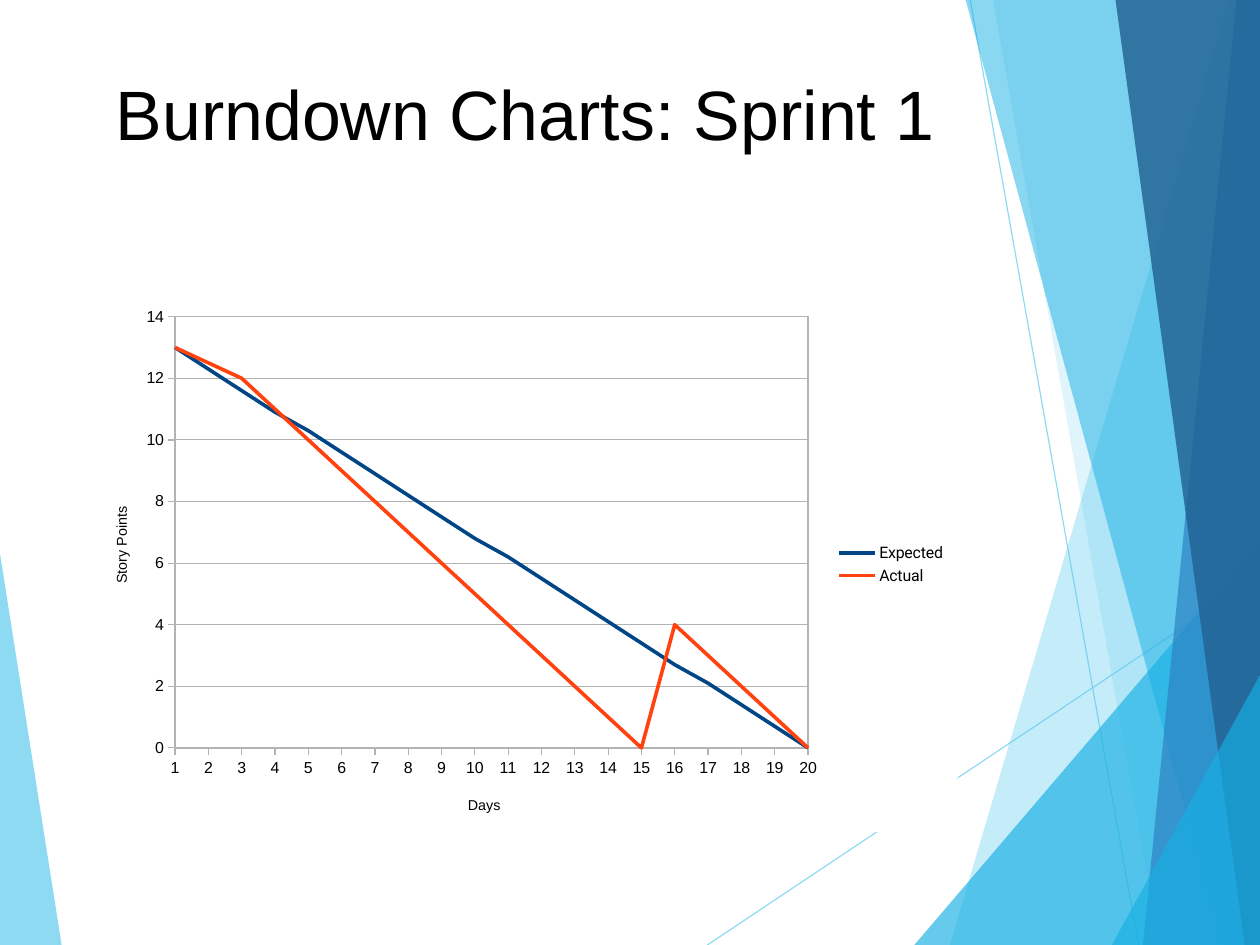
import pptx
import pptx.chart.data
import pptx.dml.color
import pptx.enum.chart
import pptx.enum.shapes
import pptx.enum.text
import pptx.oxml
import pptx.oxml.ns
import pptx.util
from pptx.util import Cm

WIDTH, HEIGHT = 28, 21
COLOURS = {
    "white": "FFFFFF", "black": "000000", "grid": "B3B3B3",
    "sky": "5FCBEF", "cyan": "17B0E4", "blue": "2E83C3", "navy": "226292",
    "expected": "004586", "actual": "FF420E",
}
NAMESPACES = pptx.oxml.ns.nsdecls("a", "c")
qn = pptx.oxml.ns.qn


def rgb(name):
    return pptx.dml.color.RGBColor.from_string(COLOURS[name])


def format_font(font, size=10, name="Arial", colour="black", bold=False):
    font.size, font.name, font.bold = pptx.util.Pt(size), name, bold
    font.color.rgb = rgb(colour)


def write_text(frame, text, align=None, **font_format):
    paragraph = frame.paragraphs[0]
    run = paragraph.add_run()
    run.text = text
    paragraph.alignment = align
    format_font(run.font, **font_format)


def format_line(line, colour, width=0.75):
    line.color.rgb = rgb(colour)
    line.width = pptx.util.Pt(width)


def set_opacity(properties, percent):
    colour = properties.find(".//" + qn("a:srgbClr"))
    colour.append(pptx.oxml.parse_xml(
        f'<a:alpha {NAMESPACES} val="{percent * 1000}"/>'))


def set_layout(parent, index, **fractions):
    """Place a chart part by fractions of the chart's size."""
    previous = parent.find(qn("c:layout"))
    if previous is not None:
        parent.remove(previous)
    target = '<c:layoutTarget val="inner"/>' if "w" in fractions else ""
    modes = "".join(f'<c:{key}Mode val="edge"/>' for key in "xy")
    values = "".join(f'<c:{key} val="{value}"/>' for key, value in fractions.items())
    parent.insert(index, pptx.oxml.parse_xml(
        f"<c:layout {NAMESPACES}><c:manualLayout>{target}{modes}{values}"
        "</c:manualLayout></c:layout>"))


def shape_properties(fill, line):
    def paint(colour):
        return (f'<a:solidFill><a:srgbClr val="{COLOURS[colour]}"/></a:solidFill>'
                if colour else "<a:noFill/>")
    return pptx.oxml.parse_xml(
        f'<c:spPr {NAMESPACES}>{paint(fill)}<a:ln w="9525">{paint(line)}</a:ln></c:spPr>')


class SlideBuilder:
    def __init__(self, presentation):
        self.slide = presentation.slides.add_slide(presentation.slide_layouts[5])
        self.slide.background.fill.solid()
        self.slide.background.fill.fore_color.rgb = rgb("white")

    def title(self, text, left, top, width, height):
        shape = self.slide.shapes.title
        shape.left, shape.top = Cm(left), Cm(top)
        shape.width, shape.height = Cm(width), Cm(height)
        frame = shape.text_frame
        frame.word_wrap = True
        frame.auto_size = pptx.enum.text.MSO_AUTO_SIZE.NONE
        frame.vertical_anchor = pptx.enum.text.MSO_ANCHOR.MIDDLE
        frame.margin_left = frame.margin_right = 0
        frame.margin_top = frame.margin_bottom = 0
        write_text(frame, text, pptx.enum.text.PP_ALIGN.CENTER, size=44)

    def facet(self, colour, opacity, *points):
        corners = [(Cm(x), Cm(y)) for x, y in points]
        builder = self.slide.shapes.build_freeform(*corners[0])
        builder.add_line_segments(corners[1:], close=True)
        shape = builder.convert_to_shape()
        shape.shadow.inherit = False
        shape.fill.solid()
        shape.fill.fore_color.rgb = rgb(colour)
        set_opacity(shape.element.spPr, opacity)
        shape.line.fill.background()

    def line(self, colour, opacity, start, end):
        connector = self.slide.shapes.add_connector(
            pptx.enum.shapes.MSO_CONNECTOR.STRAIGHT,
            *(Cm(value) for value in (*start, *end)))
        format_line(connector.line, colour)
        properties = connector.element.spPr
        set_opacity(properties, opacity)
        properties.append(pptx.oxml.parse_xml(f"<a:effectLst {NAMESPACES}/>"))

    def axis(self, axis, title, x, y):
        axis.major_tick_mark = pptx.enum.chart.XL_TICK_MARK.OUTSIDE
        axis.minor_tick_mark = pptx.enum.chart.XL_TICK_MARK.NONE
        format_font(axis.tick_labels.font)
        format_line(axis.format.line, "grid")
        write_text(axis.axis_title.text_frame, title, size=9)
        set_layout(axis.axis_title.element, 1, x=x, y=y)

    def burndown_chart(self, days, series, left, top, width, height):
        data = pptx.chart.data.CategoryChartData()
        data.categories = days
        for name, values in series.items():
            data.add_series(name, values)
        chart = self.slide.shapes.add_chart(
            pptx.enum.chart.XL_CHART_TYPE.LINE,
            Cm(left), Cm(top), Cm(width), Cm(height), data).chart
        format_font(chart.font, name="Roboto")
        chart.has_title = False
        chart.has_legend = True
        chart.legend.position = pptx.enum.chart.XL_LEGEND_POSITION.RIGHT
        chart.legend.include_in_layout = False
        format_font(chart.legend.font, name="Roboto")
        chart.plots[0].vary_by_categories = False
        for item in chart.plots[0].series:
            item.smooth = False
            format_line(item.format.line, item.name.lower(), 2.27)

        # Axes
        value_axis = chart.value_axis
        self.axis(chart.category_axis, "Days", 0.437, 0.927)
        self.axis(value_axis, "Story Points", 0.03, 0.387)
        value_axis.minimum_scale, value_axis.maximum_scale = 0, 14
        value_axis.major_unit = 2
        value_axis.has_major_gridlines = True
        format_line(value_axis.major_gridlines.format.line, "grid")
        title = value_axis.axis_title.element
        title.find(".//" + qn("a:bodyPr")).set("rot", "-5400000")

        # Lines start on the value axis
        axis_element = title.getparent()
        crossing = axis_element.find(qn("c:crossBetween"))
        if crossing is None:
            crossing = pptx.oxml.parse_xml(f"<c:crossBetween {NAMESPACES}/>")
            axis_element.find(qn("c:crosses")).addnext(crossing)
        crossing.set("val", "midCat")

        # Plot frame and chart background
        plot_area = axis_element.getparent()
        set_layout(plot_area, 0, x=0.105, y=0.037, w=0.724, h=0.806)
        plot_area.append(shape_properties(None, "grid"))
        plot_area.getparent().addnext(shape_properties("white", None))


def main():
    presentation = pptx.Presentation()
    presentation.slide_width, presentation.slide_height = Cm(WIDTH), Cm(HEIGHT)
    builder = SlideBuilder(presentation)
    top_right, bottom_right = (WIDTH, 0), (WIDTH, HEIGHT)

    # Background facets
    builder.facet("sky", 70, (0, 12.3), (1.37, HEIGHT), (0, HEIGHT))
    builder.line("sky", 70, (15.72, HEIGHT), (WIDTH, 12.8))
    builder.line("sky", 70, (21.56, 0), (25.3, HEIGHT))
    for colour, opacity, top_x, bottom_x in (
            ("sky", 36, 27.31, 21.11), ("sky", 20, 22.07, 25.76)):
        builder.facet(colour, opacity, (top_x, 0), (bottom_x, HEIGHT), bottom_right, top_right)
    builder.facet("cyan", 66, (20.32, HEIGHT), (WIDTH, 12.01), bottom_right)
    for colour, opacity, top_x, bottom_x in (
            ("cyan", 50, 21.46, 27.15), ("blue", 70, 27.48, 25.4),
            ("navy", 82, 24.79, 27.66)):
        builder.facet(colour, opacity, (top_x, 0), (bottom_x, HEIGHT), bottom_right, top_right)
    builder.facet("cyan", 66, (24.71, HEIGHT), (WIDTH, 15), bottom_right)

    # Title and chart
    builder.title("Burndown Charts: Sprint 1", 1.4, 0.81, 20.57, 3.4)
    builder.burndown_chart(
        [str(day) for day in range(1, 21)],
        {
            "Expected": [round(13 * (20 - day) / 19, 1) for day in range(1, 21)],
            "Actual": [13, 12.5, *range(12, -1, -1), *range(4, -1, -1)],
        },
        1.85, 6.6, 19.43, 11.89)

    presentation.save("out.pptx")


if __name__ == "__main__":
    main()
